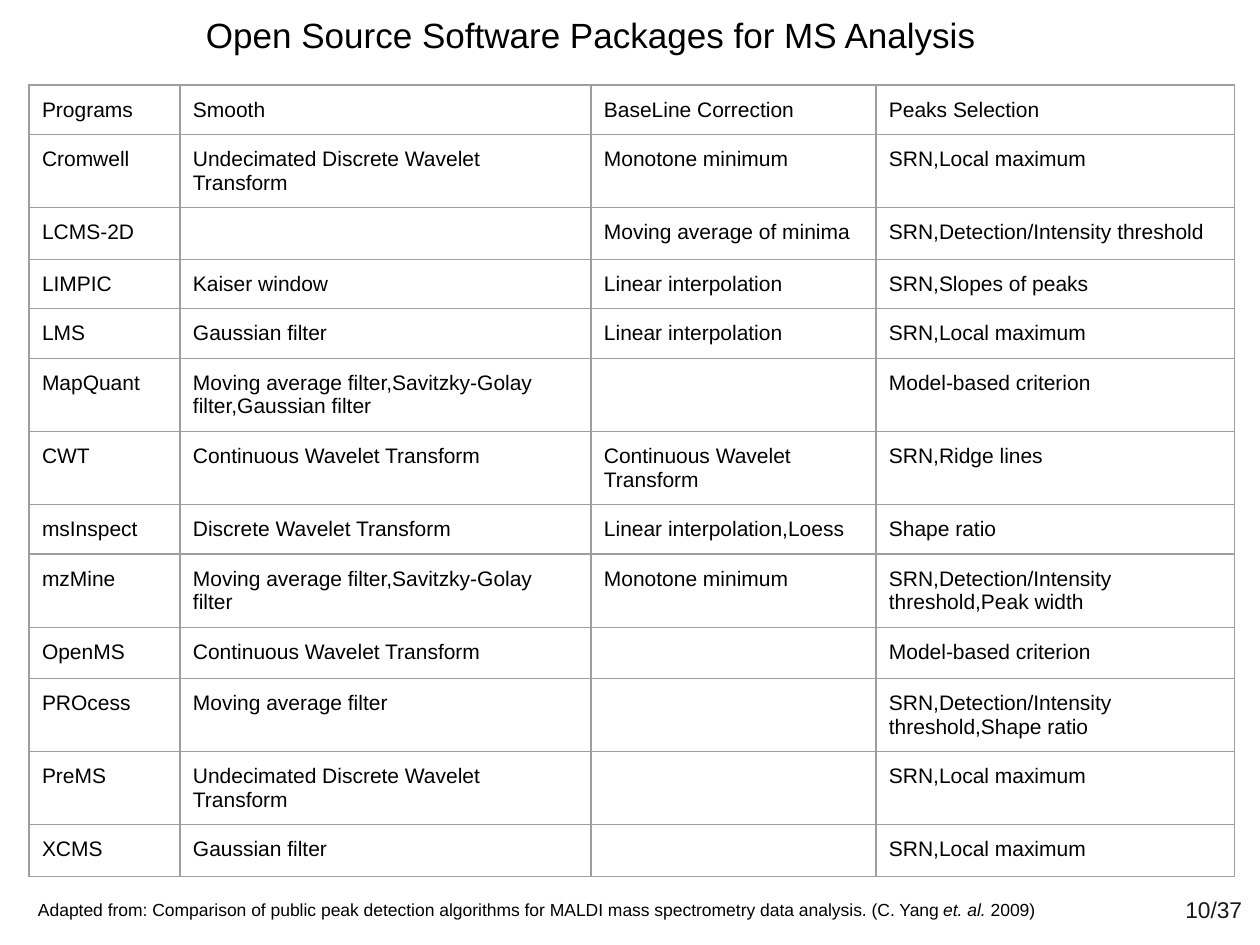
from dataclasses import dataclass

from lxml.etree import SubElement
from pptx import Presentation
from pptx.dml.color import RGBColor
from pptx.enum.text import MSO_ANCHOR as Anchor, PP_ALIGN as Align
from pptx.oxml.ns import qn
from pptx.util import Pt

SCALE = 914400 / 126
BLACK = RGBColor(0x00, 0x00, 0x00)
DARK = RGBColor(0x19, 0x19, 0x19)
GREY = RGBColor(0x9E, 0x9E, 0x9E)
FONT = "Arial"
CELL_SIZE = 12


def px(num: int) -> int:
    return round(num * SCALE)


PAD = px(13)
INSETS = {f"margin_{side}": PAD for side in ("left", "top", "right", "bottom")}


@dataclass(frozen=True)
class Label:
    left: int
    top: int
    width: int
    height: int
    runs: tuple[tuple[str, bool], ...]  # text, italic
    size: int
    color: RGBColor = BLACK
    align: Align = Align.LEFT
    lead: float = 1.0


@dataclass(frozen=True)
class Tool:
    name: str
    smooth: str
    base: str
    peaks: str
    height: int = 48


LABELS = (
    Label(1138, 873, 117, 72, (("10/37", False),), 13, DARK, Align.RIGHT),
    Label(92, -21, 998, 110,
          (("Open Source Software Packages for MS Analysis", False),),
          20, align=Align.CENTER),
    Label(25, 880, 1166, 55, (
        ("Adapted from: Comparison of public peak detection algorithms for MALDI "
         "mass spectrometry data analysis. (C. Yang ", False),
        ("et. al. ", True),
        ("2009)", False)), 10, lead=1.15),
)

COLS = (151, 411, 285, 359)
TOOLS = (
    Tool("Programs", "Smooth", "BaseLine Correction", "Peaks Selection"),
    Tool("Cromwell", "Undecimated Discrete Wavelet Transform", "Monotone minimum",
         "SRN,Local maximum", 72),
    Tool("LCMS-2D", "", "Moving average of minima",
         "SRN,Detection/Intensity threshold"),
    Tool("LIMPIC", "Kaiser window", "Linear interpolation", "SRN,Slopes of peaks"),
    Tool("LMS", "Gaussian filter", "Linear interpolation", "SRN,Local maximum"),
    Tool("MapQuant", "Moving average filter,Savitzky-Golay filter,Gaussian filter",
         "", "Model-based criterion", 72),
    Tool("CWT", "Continuous Wavelet Transform", "Continuous Wavelet Transform",
         "SRN,Ridge lines", 72),
    Tool("msInspect", "Discrete Wavelet Transform", "Linear interpolation,Loess",
         "Shape ratio"),
    Tool("mzMine", "Moving average filter,Savitzky-Golay filter",
         "Monotone minimum", "SRN,Detection/Intensity threshold,Peak width", 72),
    Tool("OpenMS", "Continuous Wavelet Transform", "", "Model-based criterion", 50),
    Tool("PROcess", "Moving average filter", "",
         "SRN,Detection/Intensity threshold,Shape ratio", 72),
    Tool("PreMS", "Undecimated Discrete Wavelet Transform", "",
         "SRN,Local maximum", 72),
    Tool("XCMS", "Gaussian filter", "", "SRN,Local maximum", 50),
)


def style(item, values: dict) -> None:
    for key, value in values.items():
        setattr(item, key, value)


def add_run(para, text: str, size: int, color: RGBColor, italic: bool = False) -> None:
    run = para.add_run()
    run.text = text
    style(run.font, {"name": FONT, "size": Pt(size), "italic": italic})
    run.font.color.rgb = color


def add_label(slide, label: Label) -> None:
    box = slide.shapes.add_textbox(
        *map(px, (label.left, label.top, label.width, label.height)))
    style(box.text_frame,
          INSETS | {"word_wrap": True, "vertical_anchor": Anchor.MIDDLE})
    para = box.text_frame.paragraphs[0]
    style(para, {"alignment": label.align, "line_spacing": label.lead})
    for text, italic in label.runs:
        add_run(para, text, label.size, label.color, italic)


def add_edges(cell) -> None:
    props = cell._tc.get_or_add_tcPr()
    for side in ("lnL", "lnR", "lnT", "lnB"):
        line = SubElement(props, qn(f"a:{side}"), w=str(int(Pt(0.75))))
        fill = SubElement(line, qn("a:solidFill"))
        SubElement(fill, qn("a:srgbClr"), val=str(GREY))


def fill_cell(cell, text: str) -> None:
    style(cell, INSETS | {"vertical_anchor": Anchor.TOP})
    add_edges(cell)
    cell.fill.background()
    para = cell.text_frame.paragraphs[0]
    if text:
        add_run(para, text, CELL_SIZE, BLACK)
    else:  # keeps an empty cell from stretching its row
        SubElement(para._p, qn("a:endParaRPr"), sz=str(CELL_SIZE * 100))


def add_grid(slide, left: int, top: int) -> None:
    high = sum(tool.height for tool in TOOLS)
    table = slide.shapes.add_table(
        len(TOOLS), len(COLS), *map(px, (left, top, sum(COLS), high))).table
    style(table, {"first_row": False, "horz_banding": False})
    for col, width in zip(table.columns, COLS):
        col.width = px(width)
    for row, tool in zip(table.rows, TOOLS):
        row.height = px(tool.height)
        texts = (tool.name, tool.smooth, tool.base, tool.peaks)
        for cell, text in zip(row.cells, texts):
            fill_cell(cell, text)


def main() -> None:
    deck = Presentation()
    style(deck, {"slide_width": px(1260), "slide_height": px(945)})
    slide = deck.slides.add_slide(deck.slide_layouts[6])
    add_grid(slide, 29, 85)
    for label in LABELS:
        add_label(slide, label)
    deck.save("out.pptx")


if __name__ == "__main__":
    main()
